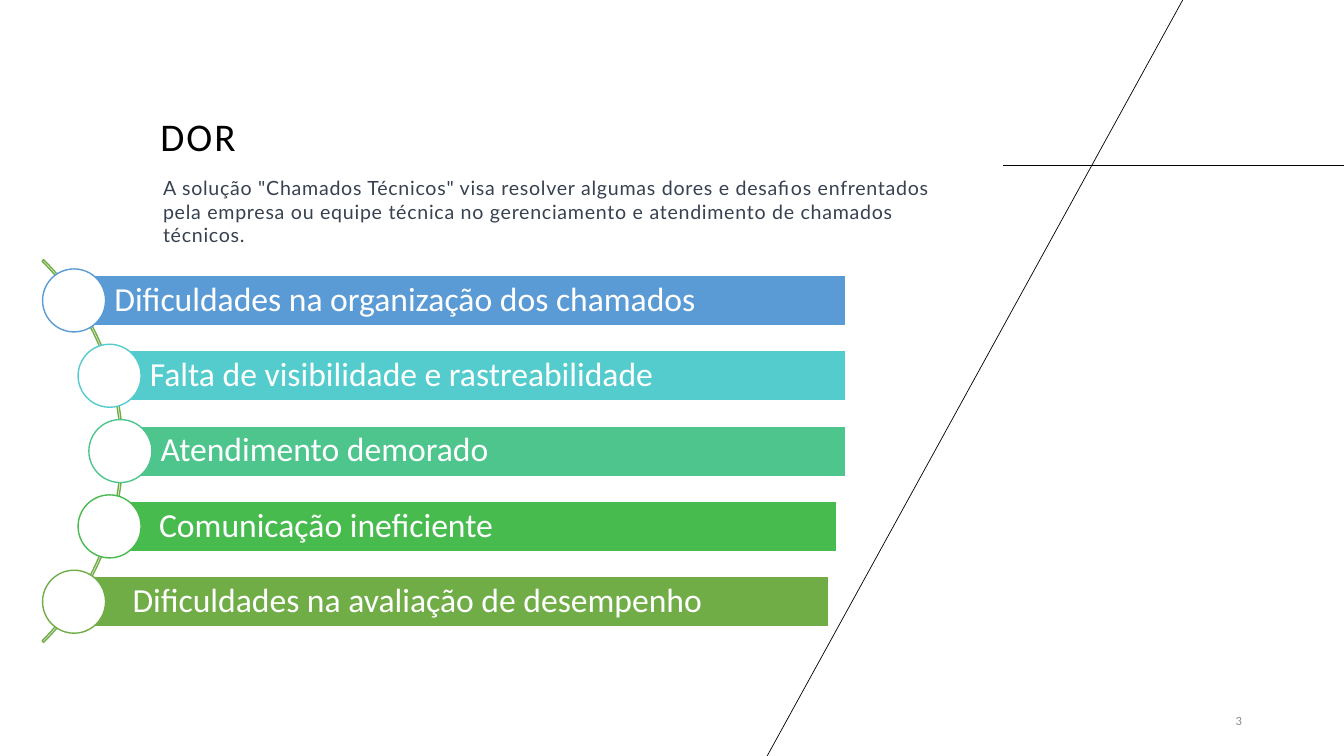
from dataclasses import dataclass
from math import sqrt

from lxml.etree import SubElement
from pptx import Presentation
from pptx.dml.color import RGBColor
from pptx.enum.shapes import MSO_CONNECTOR, MSO_SHAPE
from pptx.enum.text import MSO_ANCHOR as Anchor, MSO_AUTO_SIZE as AutoSize, PP_ALIGN as Align
from pptx.oxml.ns import qn
from pptx.util import Pt


@dataclass(frozen=True)
class Theme:
    heading_font: str = "Calibri"
    body_font: str = "Lato"
    black: str = "000000"
    white: str = "FFFFFF"
    body: str = "374151"
    muted: str = "8C8C8C"
    arc: str = "70AD47"
    title_size: float = 28
    body_size: float = 14
    pain_size: float = 24
    number_size: float = 9


@dataclass(frozen=True)
class Pain:
    label: str
    colour: str
    right: float = 604
    shift: float = 0


@dataclass(frozen=True)
class Rule:
    start: tuple[float, float]
    end: tuple[float, float]


THEME = Theme()
PAINS = [
    Pain("Dificuldades na organização dos chamados", "5B9BD5"),
    Pain("Falta de visibilidade e rastreabilidade", "54CCCD"),
    Pain("Atendimento demorado", "4DC58D"),
    Pain("Comunicação ineficiente", "48BB4F", right=597.6, shift=6.5),
    Pain("Dificuldades na avaliação de desempenho", "70AD47", right=591.8, shift=13),
]
RULES = [Rule((716.4, 118.1), (960, 118.1)), Rule((846, -2.2), (547.2, 541.4))]
INTRO = (
    'A solução "Chamados Técnicos" visa resolver algumas dores e desafios enfrentados '
    "pela empresa ou equipe técnica no gerenciamento e atendimento de chamados técnicos."
)
ARC_X, ARC_Y, ARC_SIZE = -105.5, 322.2, 386.6
ORBIT, PITCH = 191.5, 53.8
BAR_HEIGHT, CIRCLE_SIZE = 36, 45


def write(shape, text: str, *, size: float, colour: str, font: str = THEME.heading_font,
          align=Align.LEFT, anchor=Anchor.TOP, tracking: float = 0,
          line_spacing: float = 1.0, before: float = 0,
          insets: tuple[float, float, float, float] = (7.2, 3.6, 7.2, 3.6)) -> None:
    frame = shape.text_frame
    frame.word_wrap = True
    frame.auto_size = AutoSize.NONE
    frame.vertical_anchor = anchor
    frame.margin_left, frame.margin_top, frame.margin_right, frame.margin_bottom = map(Pt, insets)
    paragraph = frame.paragraphs[0]
    paragraph.alignment = align
    paragraph.line_spacing = line_spacing
    paragraph.space_before = Pt(before)
    run = paragraph.add_run()
    run.text = text
    run.font.size = Pt(size)
    run.font.name = font
    run.font.color.rgb = RGBColor.from_string(colour)
    if tracking:
        run.font._element.set("spc", str(round(tracking * 100)))


def add_rule(slide, rule: Rule) -> None:
    line = slide.shapes.add_connector(MSO_CONNECTOR.STRAIGHT, *map(Pt, rule.start + rule.end))
    line.line.width = Pt(0.5)
    line.line.color.rgb = RGBColor.from_string(THEME.black)
    SubElement(line._element.spPr, qn("a:effectLst"))


def add_outlined(slide, kind, left: float, top: float, width: float, height: float,
                 *, line: str, fill: str | None = None):
    shape = slide.shapes.add_shape(kind, Pt(left), Pt(top), Pt(width), Pt(height))
    shape.shadow.inherit = False
    if fill:
        shape.fill.solid()
        shape.fill.fore_color.rgb = RGBColor.from_string(fill)
    else:
        shape.fill.background()
    shape.line.width = Pt(1)
    shape.line.color.rgb = RGBColor.from_string(line)
    return shape


def add_arc(slide) -> None:
    arc = add_outlined(slide, MSO_SHAPE.BLOCK_ARC, ARC_X - ARC_SIZE / 2, ARC_Y - ARC_SIZE / 2,
                       ARC_SIZE, ARC_SIZE, line=THEME.arc)
    for index, value in enumerate((189, 27, 0.004)):
        arc.adjustments[index] = value


def add_pain(slide, pain: Pain, offset: float) -> None:
    centre_x = ARC_X + sqrt(ORBIT ** 2 - offset ** 2)
    centre_y = ARC_Y + offset
    left = centre_x + pain.shift
    bar = add_outlined(slide, MSO_SHAPE.RECTANGLE, left, centre_y - BAR_HEIGHT / 2,
                       pain.right - left, BAR_HEIGHT, line=THEME.white, fill=pain.colour)
    write(bar, pain.label, size=THEME.pain_size, colour=THEME.white, anchor=Anchor.MIDDLE,
          line_spacing=0.9, insets=(28.8, 5, 5, 5))
    add_outlined(slide, MSO_SHAPE.OVAL, centre_x - CIRCLE_SIZE / 2, centre_y - CIRCLE_SIZE / 2,
                 CIRCLE_SIZE, CIRCLE_SIZE, line=pain.colour, fill=THEME.white)


def main() -> None:
    deck = Presentation()
    deck.slide_width, deck.slide_height = Pt(960), Pt(540)
    slide = deck.slides.add_slide(deck.slide_layouts[5])

    for rule in RULES:
        add_rule(slide, rule)

    title = slide.shapes.title
    title.left, title.top, title.width, title.height = map(Pt, (107.3, 23, 402.5, 95))
    write(title, "DOR", size=THEME.title_size, colour=THEME.black, anchor=Anchor.BOTTOM,
          tracking=1.5, line_spacing=0.9)

    intro = slide.shapes.add_textbox(*map(Pt, (109.4, 122.4, 564.5, 56.2)))
    write(intro, INTRO, size=THEME.body_size, colour=THEME.body, font=THEME.body_font,
          tracking=0.5, before=10)

    page_number = slide.shapes.add_textbox(*map(Pt, (678.2, 500.4, 216, 28.8)))
    write(page_number, "3", size=THEME.number_size, colour=THEME.muted,
          align=Align.RIGHT, anchor=Anchor.MIDDLE)

    add_arc(slide)
    for index, pain in enumerate(PAINS):
        add_pain(slide, pain, (index - len(PAINS) // 2) * PITCH)

    deck.save("out.pptx")


if __name__ == "__main__":
    main()
